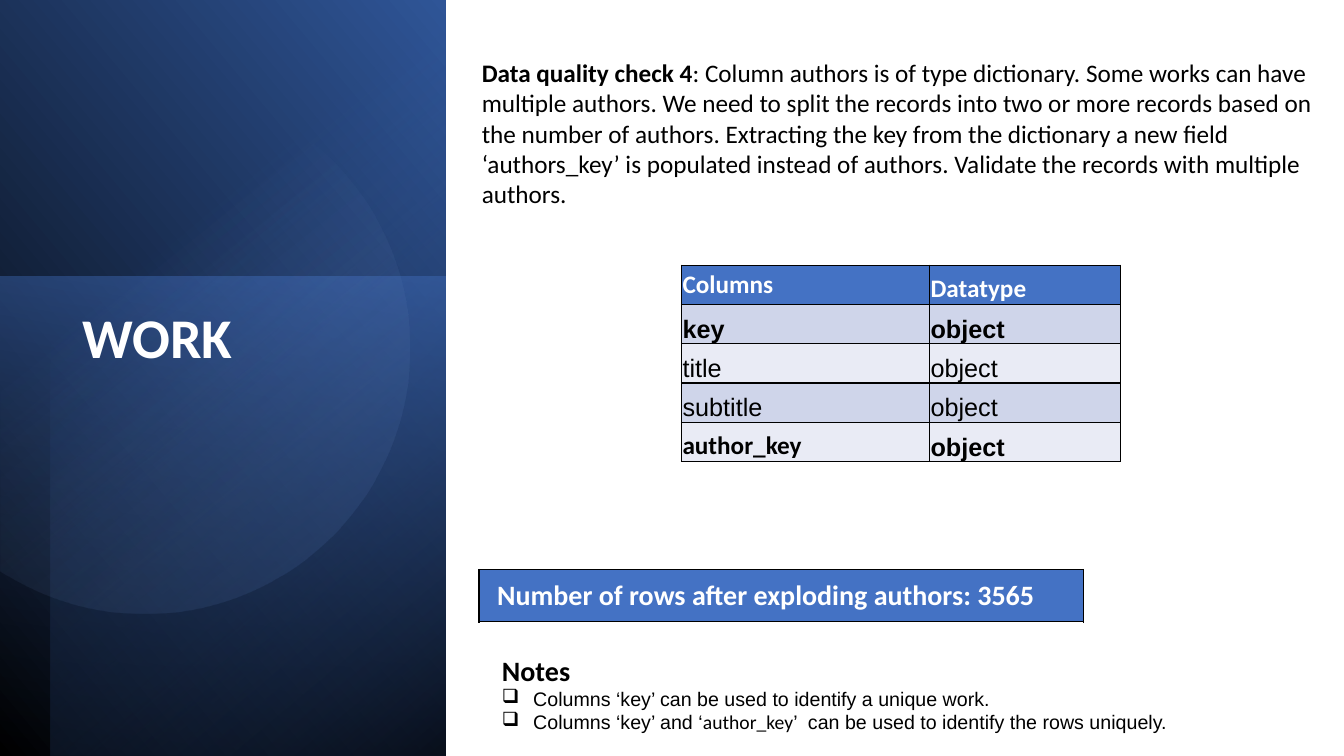
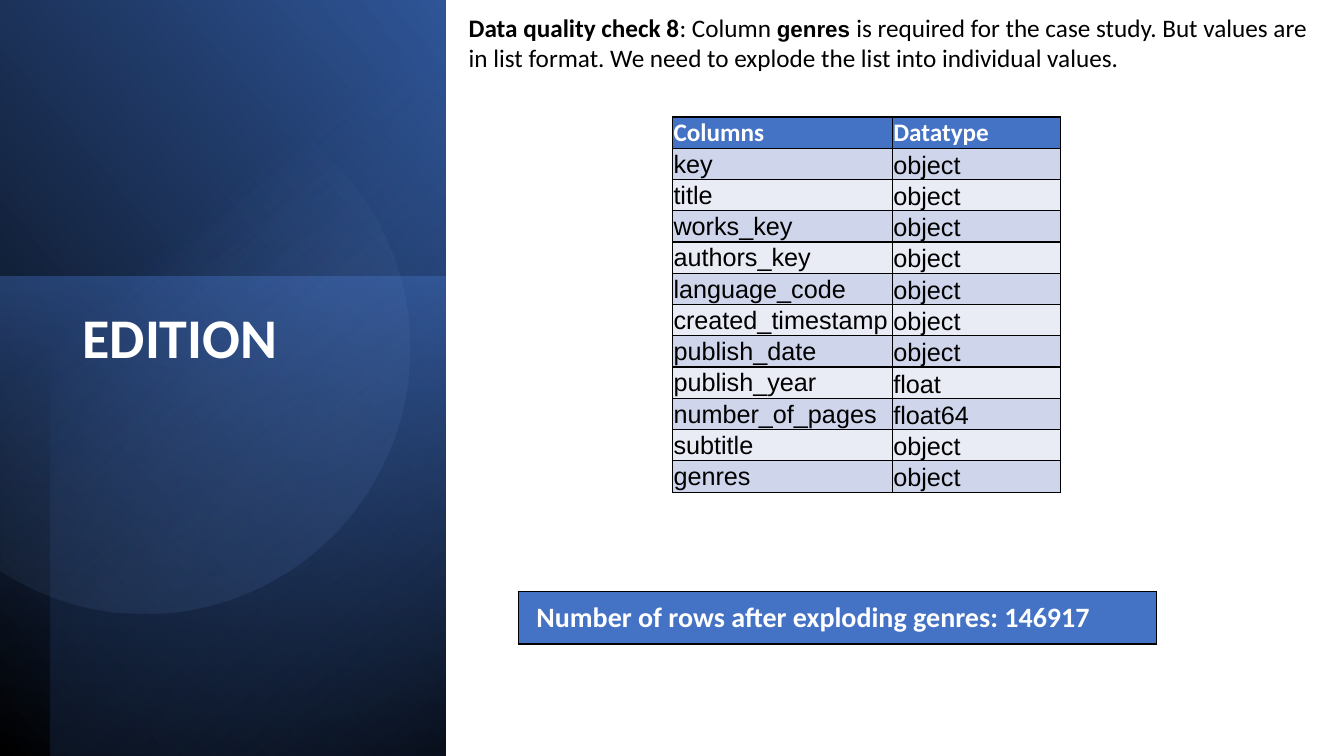
import math
from dataclasses import dataclass

import lxml.etree
import pptx
import pptx.dml.color
import pptx.enum.shapes
import pptx.enum.text
import pptx.oxml.ns
import pptx.util

Inches = pptx.util.Inches
Pt = pptx.util.Pt
qn = pptx.oxml.ns.qn
Anchor = pptx.enum.text.MSO_ANCHOR

# Shared look
BLACK, WHITE, BLUE = "000000", "FFFFFF", "4472C4"
BANDS = ("CFD5EA", "E9EBF5")
HEADING_FONT, DATA_FONT = "Calibri", "Arial"


@dataclass
class Run:
    text: str
    size: float = 18
    bold: bool = False
    font: str = HEADING_FONT
    color: str = BLACK


@dataclass
class Box:
    left: float
    top: float
    width: float
    height: float

    def lengths(self) -> tuple:
        return tuple(Inches(v) for v in (self.left, self.top, self.width, self.height))


@dataclass
class Stop:
    position: int
    color: str
    opacity: int = 100


@dataclass
class Panel:
    box: Box
    rotation: float
    flipped: bool
    angle: float
    stops: list[Stop]


@dataclass
class Cell:
    run: Run
    anchor: Anchor = Anchor.BOTTOM


@dataclass
class Page:
    title: str
    check_box: Box
    check: list[Run]
    table_left: float
    table_top: float
    column_widths: list[float]
    row_height: float
    rows: list[list[Cell]]
    banner_box: Box
    banner: str
    notes: list[list[Run]]


# Side panel, from back to front
PANELS = [
    Panel(Box(-1.55, 1.55, 7.52, 4.42), 90, True, 310,
          [Stop(0, BLACK), Stop(100, "2F5597")]),
    Panel(Box(-0.17, 2.91, 4.76, 4.42), 270, False, 190,
          [Stop(0, BLUE, 50), Stop(100, "203864", 0)]),
    Panel(Box(-1.29, 1.79, 7.5, 3.92), 270, True, 220,
          [Stop(0, BLACK, 59), Stop(69, BLUE, 0)]),
]
DISC_CENTER, DISC_RADIUS, DISC_ROTATION = (1.43, 3.47), 2.63, 101.6
DISC_STOPS = [Stop(39, "8FAADC", 0), Stop(100, "2F5597", 26)]
DISC_PIVOT = (1.81, 3.54)


def rgb(color: str) -> pptx.dml.color.RGBColor:
    return pptx.dml.color.RGBColor.from_string(color)


def add_child(parent, tag: str, **attributes):
    return lxml.etree.SubElement(parent, qn(tag), {k: str(v) for k, v in attributes.items()})


def fill_gradient(shape, stops: list[Stop], angle: float) -> None:
    shape.shadow.inherit = False
    shape.line.fill.background()
    shape.fill.background()
    properties = shape.element.spPr
    gradient = lxml.etree.Element(qn("a:gradFill"), rotWithShape="1")
    stop_list = add_child(gradient, "a:gsLst")
    for stop in stops:
        entry = add_child(stop_list, "a:gs", pos=stop.position * 1000)
        color = add_child(entry, "a:srgbClr", val=stop.color)
        if stop.opacity < 100:
            add_child(color, "a:alpha", val=stop.opacity * 1000)
    add_child(gradient, "a:lin", ang=round(angle * 60000), scaled=0)
    properties.replace(properties.find(qn("a:noFill")), gradient)


def add_panel(slide, panel: Panel) -> None:
    shape = slide.shapes.add_shape(
        pptx.enum.shapes.MSO_SHAPE.RECTANGLE, *panel.box.lengths())
    shape.rotation = panel.rotation
    if panel.flipped:
        shape.element.spPr.find(qn("a:xfrm")).set("flipH", "1")
    fill_gradient(shape, panel.stops, panel.angle)


def add_disc(slide) -> None:
    """Draw the disc, cut off at the left slide edge, in its own turned frame."""
    reach = math.acos(-DISC_CENTER[0] / DISC_RADIUS)
    turn = math.radians(-DISC_ROTATION)
    steps = 120
    points = []
    for step in range(steps + 1):
        angle = reach * (2 * step / steps - 1)
        x = DISC_CENTER[0] + DISC_RADIUS * math.cos(angle) - DISC_PIVOT[0]
        y = DISC_CENTER[1] + DISC_RADIUS * math.sin(angle) - DISC_PIVOT[1]
        points.append((
            Inches(DISC_PIVOT[0] + x * math.cos(turn) - y * math.sin(turn)),
            Inches(DISC_PIVOT[1] + x * math.sin(turn) + y * math.cos(turn))))
    builder = slide.shapes.build_freeform(*points[0])
    builder.add_line_segments(points[1:], close=True)
    disc = builder.convert_to_shape()
    disc.rotation = DISC_ROTATION
    fill_gradient(disc, DISC_STOPS, 310)


def add_runs(paragraph, runs: list[Run]) -> None:
    for item in runs:
        run = paragraph.add_run()
        run.text = item.text
        run.font.size = Pt(item.size)
        run.font.bold = item.bold
        run.font.name = item.font
        run.font.color.rgb = rgb(item.color)


def add_text(slide, box: Box, paragraphs: list[list[Run]], grow: bool = True):
    frame = slide.shapes.add_textbox(*box.lengths()).text_frame
    frame.word_wrap = True
    if grow:
        frame.auto_size = pptx.enum.text.MSO_AUTO_SIZE.SHAPE_TO_FIT_TEXT
    for index, runs in enumerate(paragraphs):
        paragraph = frame.add_paragraph() if index else frame.paragraphs[0]
        add_runs(paragraph, runs)
    return frame


def add_bullet(paragraph) -> None:
    properties = paragraph._p.get_or_add_pPr()
    indent = Inches(0.31)
    properties.set("marL", str(indent))
    properties.set("indent", str(-indent))
    add_child(properties, "a:buChar", char="❑")


def style_cell(cell, content: Cell, color: str, margins: tuple) -> None:
    (cell.margin_left, cell.margin_top,
     cell.margin_right, cell.margin_bottom) = (Inches(m) for m in margins)
    cell.vertical_anchor = content.anchor
    properties = cell._tc.get_or_add_tcPr()
    for side in "LRTB":
        line = add_child(properties, f"a:ln{side}", w=Pt(1))
        add_child(add_child(line, "a:solidFill"), "a:srgbClr", val=BLACK)
    cell.fill.solid()
    cell.fill.fore_color.rgb = rgb(color)
    add_runs(cell.text_frame.paragraphs[0], [content.run])


def add_grid(slide, left: float, top: float, widths: list[float], row_height: float,
             rows: list[list[Cell]], margins: tuple = (0.01, 0.01, 0.01, 0)) -> None:
    box = Box(left, top, sum(widths), row_height * len(rows))
    table = slide.shapes.add_table(len(rows), len(widths), *box.lengths()).table
    for column, width in zip(table.columns, widths):
        column.width = Inches(width)
    for row_index, row in enumerate(rows):
        table.rows[row_index].height = Inches(row_height)
        color = BANDS[(row_index - 1) % 2] if row_index else BLUE
        for column_index, content in enumerate(row):
            style_cell(table.cell(row_index, column_index), content, color, margins)


def data_row(name: str, kind: str, anchor: Anchor = Anchor.BOTTOM,
             bold: bool = False, name_font: str = DATA_FONT) -> list[Cell]:
    return [Cell(Run(name, bold=bold, font=name_font), anchor),
            Cell(Run(kind, bold=bold, font=DATA_FONT))]


def add_page(presentation, page: Page) -> None:
    slide = presentation.slides.add_slide(presentation.slide_layouts[6])
    for panel in PANELS:
        add_panel(slide, panel)
    add_disc(slide)
    title = add_text(slide, Box(0.72, 3.03, 3.15, 3.36),
                     [[Run(page.title, 40, True, color=WHITE)]], grow=False)
    title.paragraphs[0].line_spacing = 0.9
    add_text(slide, page.check_box, [page.check])
    add_grid(slide, page.table_left, page.table_top, page.column_widths,
             page.row_height, [HEADER] + page.rows)
    if page.notes:
        notes = add_text(slide, Box(4.88, 6.43, 8.32, 1.21), page.notes)
        for paragraph in notes.paragraphs[1:]:
            add_bullet(paragraph)
    banner = page.banner_box
    add_grid(slide, banner.left, banner.top, [banner.width], banner.height,
             [[Cell(Run(page.banner, 20, True, color=WHITE), Anchor.TOP)]],
             (0.18, 0.09, 0.18, 0.09))


# Content
HEADER = [Cell(Run("Columns", bold=True, color=WHITE), Anchor.MIDDLE),
          Cell(Run("Datatype", bold=True, color=WHITE))]
EDITION_COLUMNS = {
    "key": "object", "title": "object", "works_key": "object",
    "authors_key": "object", "language_code": "object",
    "created_timestamp": "object", "publish_date": "object",
    "publish_year": "float", "number_of_pages": "float64",
    "subtitle": "object", "genres": "object",
}
PAGES = [
    Page(
        title="WORK",
        check_box=Box(4.68, 0.52, 8.65, 1.62),
        check=[
            Run("Data quality check 4", bold=True),
            Run(": Column authors is of type dictionary. Some works can have multiple "
                "authors. We need to split the records into two or more records based on "
                "the number of authors. Extracting the key from the dictionary a new field "
                "‘authors_key’ is populated instead of authors. Validate the records with "
                "multiple authors."),
        ],
        table_left=6.76, table_top=2.63, column_widths=[2.46, 1.89], row_height=0.39,
        rows=[
            data_row("key", "object", bold=True),
            data_row("title", "object"),
            data_row("subtitle", "object"),
            data_row("author_key", "object", bold=True, name_font=HEADING_FONT),
        ],
        banner_box=Box(4.75, 5.65, 6, 0.52),
        banner="Number of rows after exploding authors: 3565",
        notes=[
            [Run("Notes", 20, True)],
            [Run("Columns ‘key’ can be used to identify a unique work.", 14, font=DATA_FONT)],
            [Run("Columns ‘key’ and ‘", 14, font=DATA_FONT),
             Run("author_key", 14),
             Run("’  can be used to identify the rows uniquely.", 14, font=DATA_FONT)],
        ],
    ),
    Page(
        title="EDITION",
        check_box=Box(4.55, 0.07, 8.65, 0.71),
        check=[
            Run("Data quality check 8", bold=True),
            Run(": Column "),
            Run("genres ", 16, True, DATA_FONT),
            Run("is required for the case study. But values are in list format. "
                "We need to explode the list into individual values."),
        ],
        table_left=6.67, table_top=1.16, column_widths=[2.18, 1.67], row_height=0.31,
        rows=[data_row(name, kind, Anchor.MIDDLE) for name, kind in EDITION_COLUMNS.items()],
        banner_box=Box(5.14, 5.87, 6.33, 0.52),
        banner="Number of rows after exploding genres: 146917",
        notes=[],
    ),
]


def main() -> None:
    presentation = pptx.Presentation()
    presentation.slide_width = Inches(13.33)
    presentation.slide_height = Inches(7.5)
    for page in PAGES:
        add_page(presentation, page)
    presentation.save("out.pptx")


if __name__ == "__main__":
    main()
